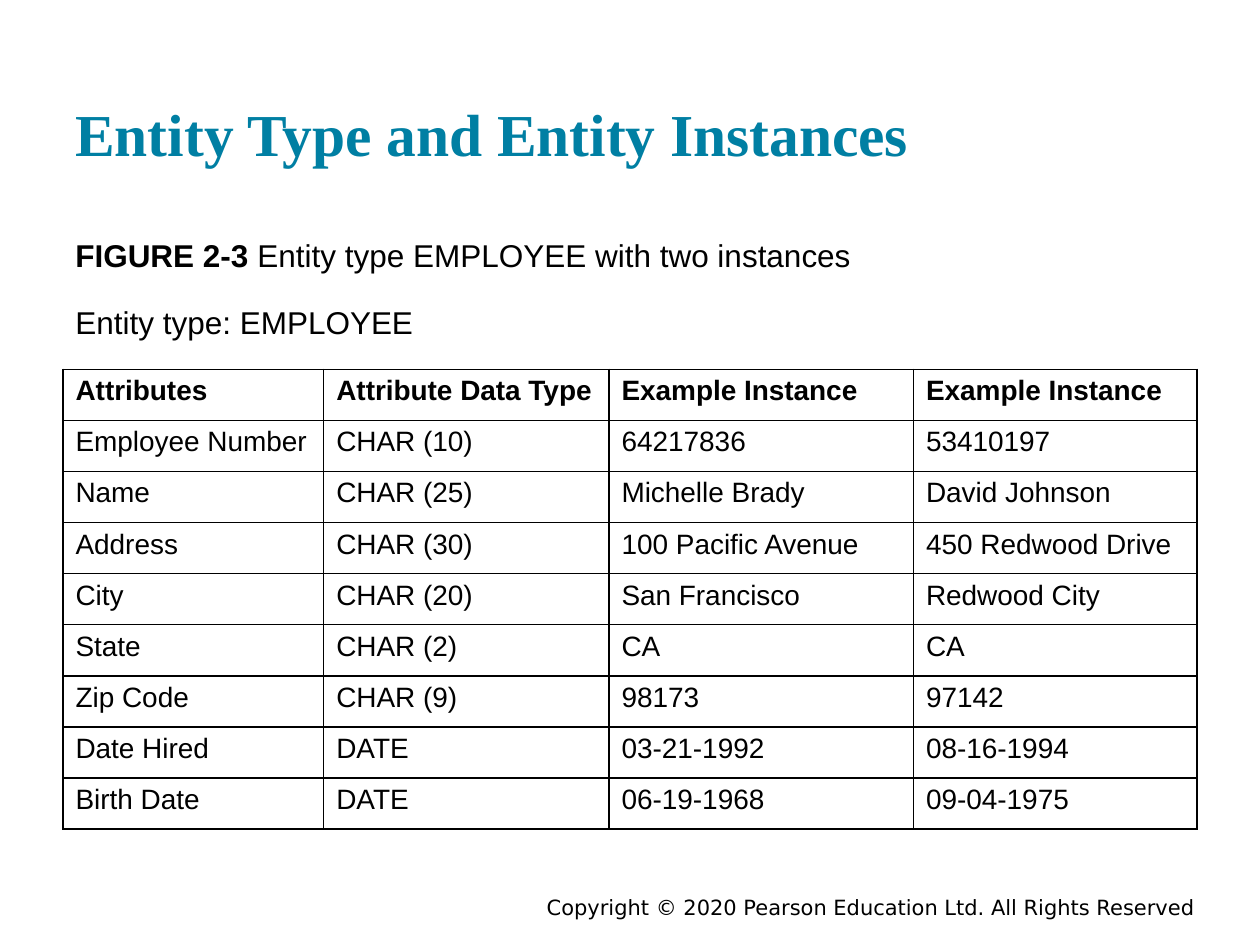
from dataclasses import dataclass

from lxml.etree import SubElement
from pptx import Presentation
from pptx.dml.color import RGBColor
from pptx.enum.text import MSO_ANCHOR, PP_ALIGN
from pptx.oxml.ns import qn
from pptx.util import Pt


@dataclass(frozen=True)
class Theme:
    ink: str = "000000"
    accent: str = "007FA3"
    title_font: str = "Times New Roman"
    body_font: str = "Arial"
    footer_font: str = "DejaVu Sans"
    title_size: int = 34
    body_size: int = 18
    table_size: int = 16
    footer_size: int = 12
    border: int = 1


class SlideBuilder:
    def __init__(self, slide, theme):
        self.s = slide
        self.theme = theme

    def style(self, p, name, size, color, bold=None):
        p.font.name = name
        p.font.size = Pt(size)
        p.font.color.rgb = RGBColor.from_string(color)
        p.font.bold = bold

    def text_box(self, x, y, w, h, anchor, margin_y):
        tf = self.s.shapes.add_textbox(Pt(x), Pt(y), Pt(w), Pt(h)).text_frame
        tf.word_wrap = True
        tf.vertical_anchor = anchor
        tf.margin_left = tf.margin_right = Pt(7.2)
        tf.margin_top = tf.margin_bottom = Pt(margin_y)
        return tf.paragraphs[0]

    def title(self, text, x, y, w, h):
        p = self.text_box(x, y, w, h, MSO_ANCHOR.BOTTOM, 7.2)
        p.text = text
        t = self.theme
        self.style(p, t.title_font, t.title_size, t.accent, True)

    def caption(self, runs, x, y, w, h):
        p = self.text_box(x, y, w, h, MSO_ANCHOR.TOP, 9)
        for text, bold in runs:
            r = p.add_run()
            r.text = text
            r.font.bold = bold
        t = self.theme
        self.style(p, t.body_font, t.body_size, t.ink)

    def footer(self, text, x, y, w, h):
        p = self.text_box(x, y, w, h, MSO_ANCHOR.MIDDLE, 3.6)
        p.text = text
        p.alignment = PP_ALIGN.RIGHT
        t = self.theme
        self.style(p, t.footer_font, t.footer_size, t.ink)

    def cell_borders(self, cell):
        tc_pr = cell._tc.get_or_add_tcPr()
        for i, side in enumerate(("a:lnL", "a:lnR", "a:lnT", "a:lnB")):
            ln = SubElement(tc_pr, qn(side), w=str(Pt(self.theme.border)))
            fill = SubElement(ln, qn("a:solidFill"))
            SubElement(fill, qn("a:srgbClr"), val=self.theme.ink)
            tc_pr.insert(i, ln)  # borders come before the fill

    def table(self, rows, x, y, widths, row_height):
        frame = self.s.shapes.add_table(
            len(rows), len(widths), Pt(x), Pt(y),
            Pt(sum(widths)), Pt(row_height * len(rows)))
        table = frame.table
        table.horz_banding = False
        table.first_row = False
        for column, width in zip(table.columns, widths):
            column.width = Pt(width)
        t = self.theme
        for i, values in enumerate(rows):
            table.rows[i].height = Pt(row_height)
            for j, value in enumerate(values):
                cell = table.cell(i, j)
                cell.fill.background()
                self.cell_borders(cell)
                p = cell.text_frame.paragraphs[0]
                p.text = value
                self.style(p, t.body_font, t.table_size, t.ink, i == 0)


EMPLOYEE_ROWS = [
    ("Attributes", "Attribute Data Type", "Example Instance", "Example Instance"),
    ("Employee Number", "CHAR (10)", "64217836", "53410197"),
    ("Name", "CHAR (25)", "Michelle Brady", "David Johnson"),
    ("Address", "CHAR (30)", "100 Pacific Avenue", "450 Redwood Drive"),
    ("City", "CHAR (20)", "San Francisco", "Redwood City"),
    ("State", "CHAR (2)", "CA", "CA"),
    ("Zip Code", "CHAR (9)", "98173", "97142"),
    ("Date Hired", "DATE", "03-21-1992", "08-16-1994"),
    ("Birth Date", "DATE", "06-19-1968", "09-04-1975"),
]


def main():
    prs = Presentation()
    prs.slide_width, prs.slide_height = Pt(720), Pt(540)
    b = SlideBuilder(prs.slides.add_slide(prs.slide_layouts[6]), Theme())
    left, width = 36, 648

    # Footer
    b.footer("Copyright © 2020 Pearson Education Ltd. All Rights Reserved",
             210, 508.5, 480, 19.5)

    # Title and captions
    b.title("Entity Type and Entity Instances", left, 17.3, width, 86.4)
    b.caption([("FIGURE 2-3 ", True),
               ("Entity type EMPLOYEE with two instances", False)],
              left, 126, width, 32)
    b.caption([("Entity type: EMPLOYEE", False)], left, 164.2, width, 33)

    # Employee table
    b.table(EMPLOYEE_ROWS, left, 211, (149, 163, 174, 162), 29.2)

    prs.save("out.pptx")


if __name__ == "__main__":
    main()
